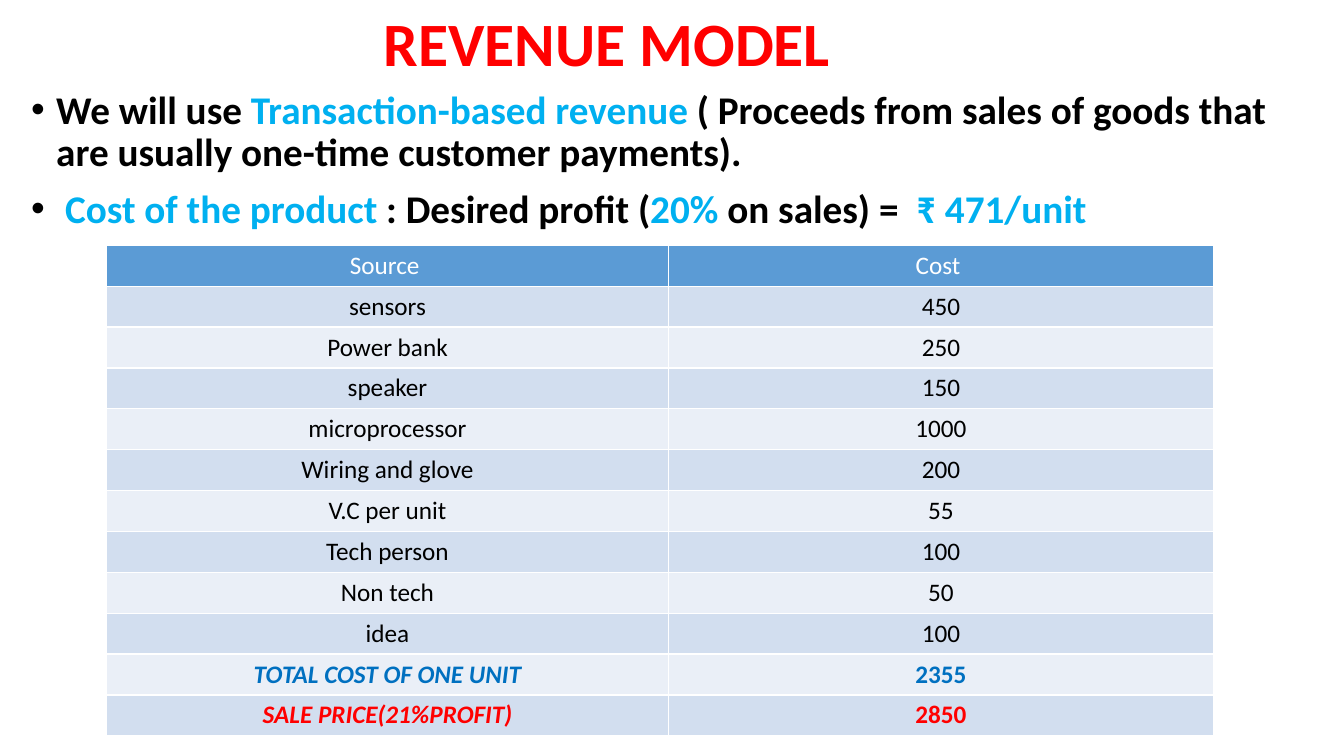
from lxml.etree import SubElement
from pptx import Presentation
from pptx.dml.color import RGBColor
from pptx.enum.text import MSO_ANCHOR, PP_ALIGN
from pptx.oxml.ns import qn
from pptx.util import Pt

WHITE, BLACK, RED, SKY, BLUE = "FFFFFF", "000000", "FF0000", "00B0F0", "0070C0"
HEADER_FILL, BAND_FILLS = "5B9BD5", ["EAEFF7", "D2DEEF"]


def style_run(run, size, color, bold=False, italic=False):
    run.font.name = "Calibri"
    run.font.size = Pt(size)
    run.font.bold = bold
    run.font.italic = italic
    run.font.color.rgb = RGBColor.from_string(color)


presentation = Presentation()
presentation.slide_width = Pt(960)
presentation.slide_height = Pt(540)
slide = presentation.slides.add_slide(presentation.slide_layouts[6])

title = slide.shapes.add_textbox(Pt(27.4), Pt(5.8), Pt(812.9), Pt(55.4))
title.text_frame.word_wrap = True
title.text_frame.vertical_anchor = MSO_ANCHOR.MIDDLE
title.text_frame.text = "REVENUE MODEL"
paragraph = title.text_frame.paragraphs[0]
paragraph.alignment = PP_ALIGN.CENTER
paragraph.line_spacing = 0.9
style_run(paragraph.runs[0], 44, RED, bold=True)

bullets = [
    [
        ("We will use ", BLACK),
        ("Transaction-based revenue ", SKY),
        ("( Proceeds from sales of goods that are usually one-time customer payments).", BLACK),
    ],
    [
        (" ", BLACK),
        ("Cost of the product ", SKY),
        (": Desired profit (", BLACK),
        ("20%", SKY),
        (" on sales) =  ", BLACK),
        ("₹ 471/unit", SKY),
    ],
]
body = slide.shapes.add_textbox(Pt(15.1), Pt(61.2), Pt(931), Pt(114.5))
body.text_frame.word_wrap = True
for index, parts in enumerate(bullets):
    paragraph = body.text_frame.paragraphs[0] if index == 0 else body.text_frame.add_paragraph()
    paragraph.line_spacing = 0.9
    paragraph.space_before = Pt(10 if index else 0)
    properties = paragraph._p.get_or_add_pPr()
    properties.set("marL", str(Pt(18)))
    properties.set("indent", str(Pt(-18)))
    SubElement(properties, qn("a:buFont"), typeface="Arial")
    SubElement(properties, qn("a:buChar"), char="•")
    for text, color in parts:
        run = paragraph.add_run()
        run.text = text
        style_run(run, 28, color, bold=True)

costs = [
    ("Source ", "Cost "),
    ("sensors", "450"),
    ("Power bank", "250"),
    ("speaker", "150"),
    ("microprocessor", "1000"),
    ("Wiring and glove", "200"),
    ("V.C per unit", "55"),
    ("Tech person", "100"),
    ("Non tech", "50"),
    ("idea", "100"),
    ("TOTAL COST OF ONE UNIT", "2355"),
    ("SALE PRICE(21%PROFIT)", "2850"),
]
row_colors = {0: WHITE, 10: BLUE, 11: RED}
row_height = 29.2
table = slide.shapes.add_table(
    len(costs), 2, Pt(76.3), Pt(175.2), Pt(790.6), Pt(row_height * len(costs))
).table
table.columns[0].width = Pt(401)
table.columns[1].width = Pt(389.6)

for row, values in enumerate(costs):
    table.rows[row].height = Pt(row_height)
    for column, value in enumerate(values):
        cell = table.cell(row, column)
        for side in ("lnL", "lnR", "lnT", "lnB"):
            border = SubElement(cell._tc.get_or_add_tcPr(), qn(f"a:{side}"), w=str(Pt(1)))
            SubElement(SubElement(border, qn("a:solidFill")), qn("a:srgbClr"), val=WHITE)
        cell.fill.solid()
        cell.fill.fore_color.rgb = RGBColor.from_string(BAND_FILLS[row % 2] if row else HEADER_FILL)
        cell.text_frame.text = value
        paragraph = cell.text_frame.paragraphs[0]
        paragraph.alignment = PP_ALIGN.CENTER
        is_summary = row >= 10
        style_run(paragraph.runs[0], 18, row_colors.get(row, BLACK),
                  bold=is_summary, italic=is_summary and column == 0)

presentation.save("out.pptx")
